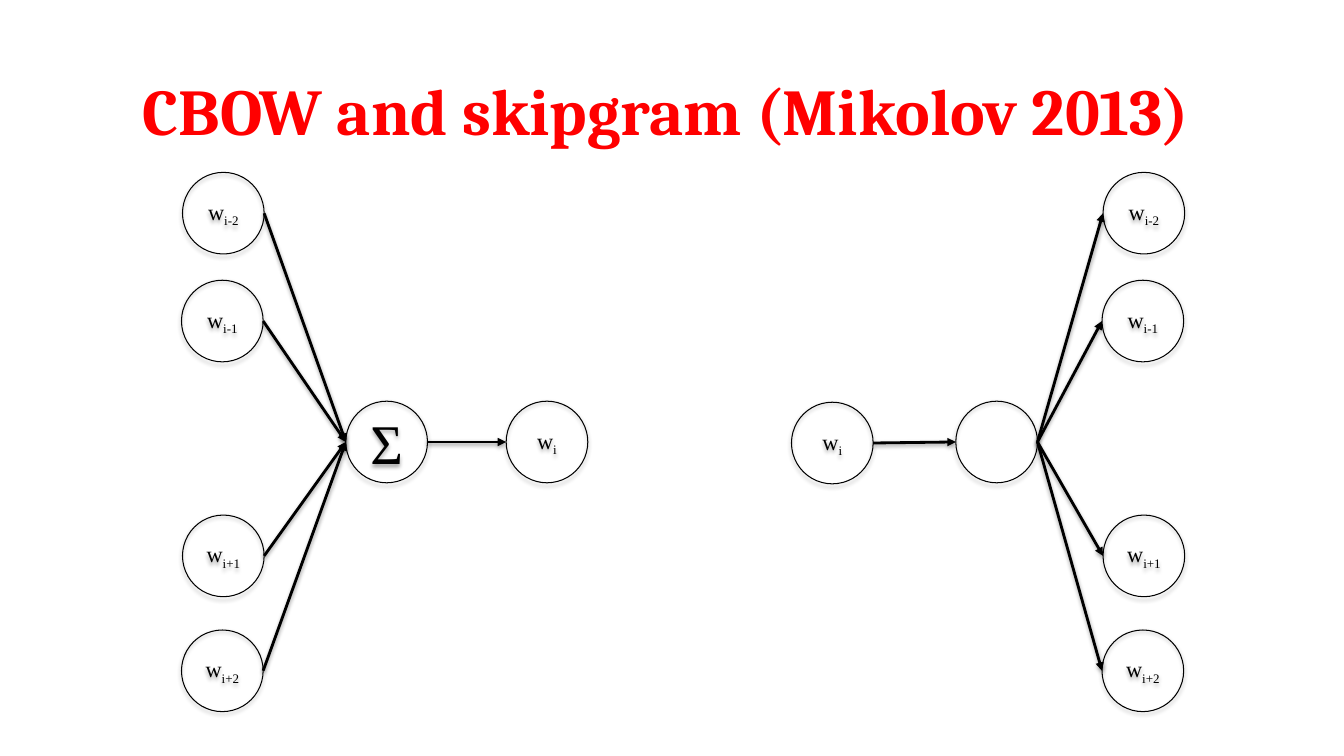
"""Build a slide that sets the CBOW and skipgram networks side by side."""
from pptx import Presentation
from pptx.dml.color import RGBColor
from pptx.enum import shapes, text
from pptx.oxml import parse_xml
from pptx.oxml.ns import nsdecls
from pptx.util import Inches, Pt

TITLE = "CBOW and skipgram (Mikolov 2013) "
CONTEXT = [("i-2", 0, 1.71), ("i-1", -0.01, 2.78), ("i+1", 0, 5.11), ("i+2", -0.01, 6.25)]
CBOW = {"context": 1.81, "hidden": (3.43, 3.98), "word": (5.02, 3.98)}
SKIPGRAM = {"context": 10.94, "hidden": (9.48, 3.98), "word": (7.85, 3.99)}
DIAMETER = 0.81
BLACK, RED = "000000", "FF0000"


def color(value):
    return RGBColor.from_string(value)


def add_span(para, words, size=16, font="Times New Roman", ink=BLACK, bold=False, baseline=0):
    span = para.add_run()
    span.text = words
    span.font.size = Pt(size)
    span.font.name = font
    span.font.bold = bold
    span.font.color.rgb = color(ink)
    if baseline:
        span.font._element.set("baseline", str(baseline * 1000))


def add_shadow(item, distance, opacity):
    item._element.spPr.append(parse_xml(
        f'<a:effectLst {nsdecls("a")}><a:outerShdw blurRad="{Pt(3.1)}" dist="{Pt(distance)}" '
        f'dir="5400000" rotWithShape="0"><a:srgbClr val="{BLACK}">'
        f'<a:alpha val="{opacity * 1000}"/></a:srgbClr></a:outerShdw></a:effectLst>'))


def add_node(page, left, top, symbol="", subscript="", size=16):
    node = page.shapes.add_shape(shapes.MSO_SHAPE.OVAL, Inches(left), Inches(top),
                                 Inches(DIAMETER), Inches(DIAMETER))
    node.fill.background()
    node.line.color.rgb = color(BLACK)
    node.line.width = Pt(0.75)
    add_shadow(node, distance=1.8, opacity=35)
    frame = node.text_frame
    frame.margin_left = frame.margin_right = 0
    frame.vertical_anchor = text.MSO_ANCHOR.MIDDLE
    para = frame.paragraphs[0]
    para.alignment = text.PP_ALIGN.CENTER
    if symbol:
        add_span(para, symbol, size=size)
    if subscript:
        add_span(para, subscript, size=size, baseline=-25)
    return node


def add_arrow(page, source, target):
    arrow = page.shapes.add_connector(
        shapes.MSO_CONNECTOR.STRAIGHT,
        source.left + source.width, source.top + source.height // 2,
        target.left, target.top + target.height // 2)
    arrow.line.color.rgb = color(BLACK)
    arrow.line.width = Pt(2)
    arrow.line._get_or_add_ln().append(parse_xml(f'<a:tailEnd {nsdecls("a")} type="triangle"/>'))
    add_shadow(arrow, distance=1.6, opacity=38)


def add_network(page, places, hidden_symbol="", predicts_context=False):
    context = [add_node(page, places["context"] + shift, top, "w", subscript)
               for subscript, shift, top in CONTEXT]
    hidden = add_node(page, *places["hidden"], hidden_symbol, size=40)
    word = add_node(page, *places["word"], "w", "i")
    links = [(node, hidden) for node in context] + [(hidden, word)]
    for source, target in links:
        if predicts_context:
            source, target = target, source
        add_arrow(page, source, target)


def add_title(page):
    title = page.shapes.title
    title.left, title.top = Inches(0.37), Inches(0.57)
    title.width, title.height = Inches(12.62), Inches(1.02)
    title.text_frame.vertical_anchor = text.MSO_ANCHOR.MIDDLE
    para = title.text_frame.paragraphs[0]
    para.alignment = text.PP_ALIGN.CENTER
    add_span(para, TITLE, size=46.7, font="Cambria", ink=RED, bold=True)


def main():
    deck = Presentation()
    deck.slide_width, deck.slide_height = Inches(13.33), Inches(7.5)
    page = deck.slides.add_slide(deck.slide_layouts[5])
    add_title(page)
    add_network(page, CBOW, hidden_symbol="Σ")
    add_network(page, SKIPGRAM, predicts_context=True)
    deck.save("out.pptx")


if __name__ == "__main__":
    main()
